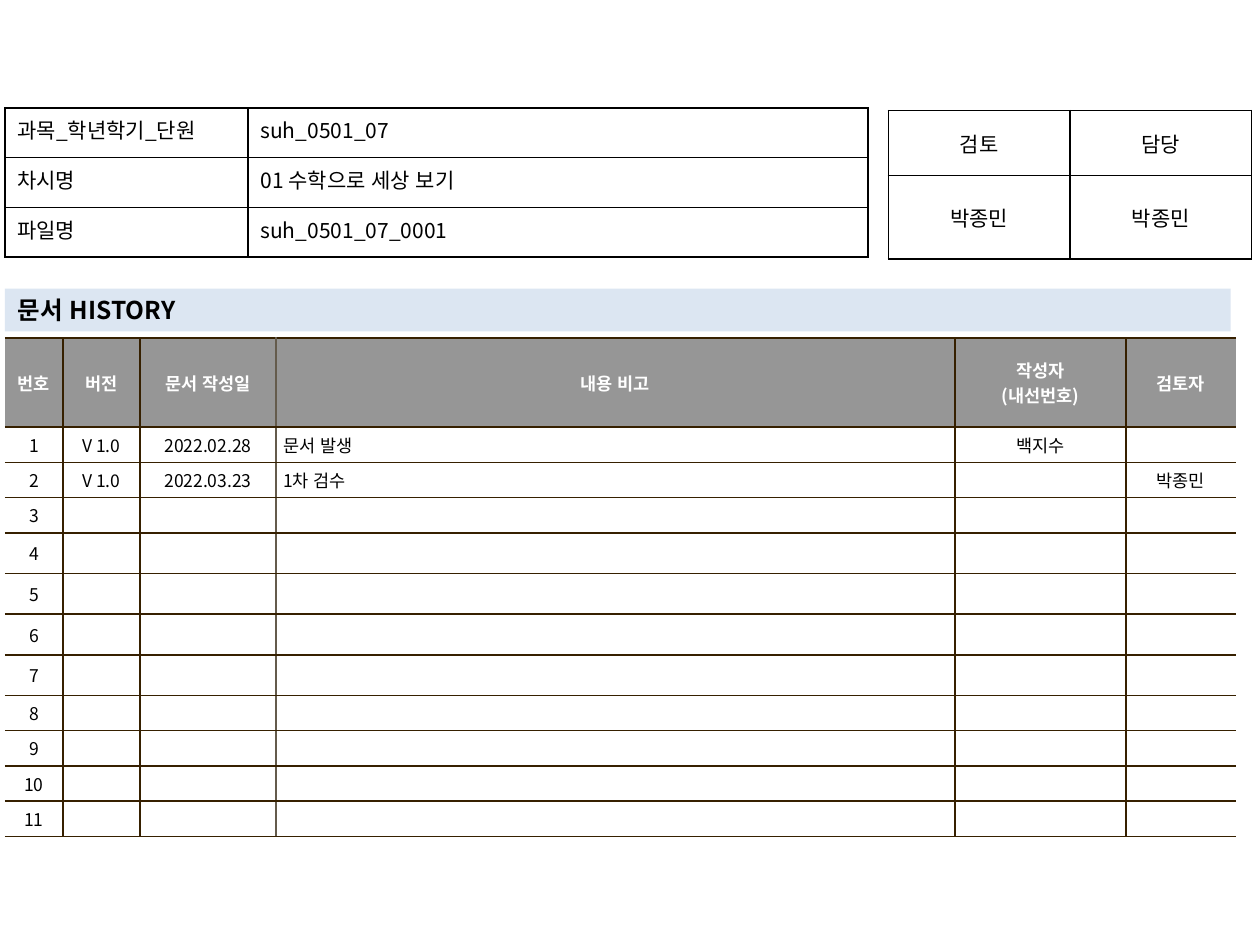
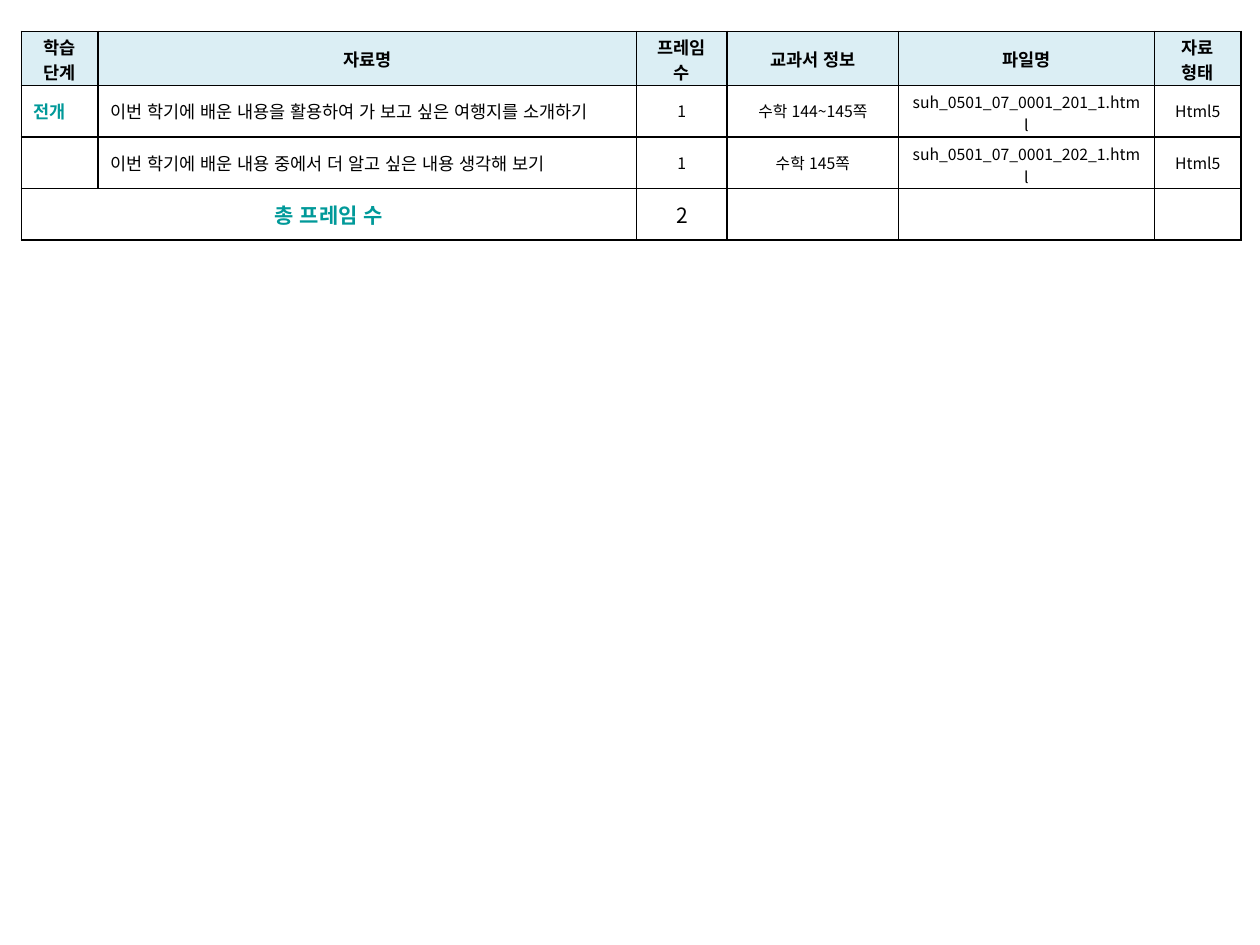
from typing import NamedTuple

import lxml.etree
import pptx
import pptx.dml.color
import pptx.enum.lang
import pptx.enum.text
import pptx.oxml.ns
import pptx.util

Cm = pptx.util.Cm
Pt = pptx.util.Pt
Align = pptx.enum.text.PP_ALIGN
Anchor = pptx.enum.text.MSO_ANCHOR
qn = pptx.oxml.ns.qn

FONT = "Noto Sans CJK KR"
HUES = {
    "black": "000000",
    "white": "FFFFFF",
    "gray": "969696",
    "brown": "362000",
    "taupe": "645B4C",
    "band": "DCE6F2",
    "head": "DBEEF4",
    "teal": "009999",
}


class Cell(NamedTuple):
    text: str = ""
    size: int = 10
    hue: str = "black"
    bold: bool = False
    align: Align = Align.CENTER
    fill: str = ""
    pad: tuple[float, float] = (0.13, 0.13)


class Grid(NamedTuple):
    left: float
    top: float
    cols: list[float]
    rows: list[float]
    cells: list[list[Cell]]
    line: str = "black"
    side: float = 0.25
    anchor: Anchor = Anchor.MIDDLE
    open: bool = False
    soft: int = -1


def tint(name: str) -> pptx.dml.color.RGBColor:
    return pptx.dml.color.RGBColor.from_string(HUES[name])


def write(frame, item: Cell) -> None:
    for index, text in enumerate(item.text.split("\n")):
        para = frame.add_paragraph() if index else frame.paragraphs[0]
        para.alignment = item.align
        if not text:
            lxml.etree.SubElement(para._p, qn("a:endParaRPr"), sz=str(item.size * 100))
            continue
        run = para.add_run()
        run.text = text
        font = run.font
        font.name = FONT
        font.size = Pt(item.size)
        font.bold = item.bold
        font.color.rgb = tint(item.hue)
        font.language_id = pptx.enum.lang.MSO_LANGUAGE_ID.KOREAN
        lxml.etree.SubElement(font._element, qn("a:ea"), typeface=FONT)


def edge(cell, hues: dict[str, str]) -> None:
    props = cell._tc.get_or_add_tcPr()
    for place, (side, name) in enumerate(hues.items()):
        line = lxml.etree.Element(qn("a:ln" + side), w=str(Pt(1)))
        if name:
            fill = lxml.etree.SubElement(line, qn("a:solidFill"))
            lxml.etree.SubElement(fill, qn("a:srgbClr"), val=HUES[name])
        else:
            lxml.etree.SubElement(line, qn("a:noFill"))
        props.insert(place, line)


def draw(slide, grid: Grid):
    count = len(grid.cols)
    table = slide.shapes.add_table(
        len(grid.rows), count, Cm(grid.left), Cm(grid.top),
        Cm(sum(grid.cols)), Cm(sum(grid.rows))).table
    table.first_row = table.horz_banding = False
    for column, width in zip(table.columns, grid.cols):
        column.width = Cm(width)
    for row, height in zip(table.rows, grid.rows):
        row.height = Cm(height)
    walls = [grid.line] * (count + 1)
    if grid.open:
        walls[0] = walls[-1] = ""
    if grid.soft >= 0:
        walls[grid.soft] = "taupe"
    for y, items in enumerate(grid.cells):
        for x, item in enumerate(items):
            cell = table.cell(y, x)
            cell.vertical_anchor = grid.anchor
            cell.margin_left = cell.margin_right = Cm(grid.side)
            cell.margin_top, cell.margin_bottom = map(Cm, item.pad)
            if item.fill:
                cell.fill.solid()
                cell.fill.fore_color.rgb = tint(item.fill)
            else:
                cell.fill.background()
            edge(cell, {"L": walls[x], "R": walls[x + 1], "T": grid.line, "B": grid.line})
            write(cell.text_frame, item)
    return table


def band(slide, text: str) -> None:
    title = slide.shapes.title
    title.left, title.top, title.width, title.height = map(Cm, (0.1, 5.82, 24.71, 0.86))
    title.fill.solid()
    title.fill.fore_color.rgb = tint("band")
    frame = title.text_frame
    frame.word_wrap = True
    frame.auto_size = pptx.enum.text.MSO_AUTO_SIZE.NONE
    frame.vertical_anchor = Anchor.MIDDLE
    write(frame, Cell(text, 14, bold=True, align=Align.LEFT))


def log_rows() -> list[list[Cell]]:
    heads = ["번호", "버전", "문서 작성일", "내용 비고", "작성자\n(내선번호)", "검토자"]
    notes = [
        ["V 1.0", "2022.02.28", "문서 발생", "백지수", ""],
        ["V 1.0", "2022.03.23", "1차 검수", "", "박종민"],
    ] + [[""] * 5] * 9
    pad = (0.1, 0.1)
    rows = [[Cell(text, hue="white", bold=True, fill="gray", pad=pad) for text in heads]]
    for number, note in enumerate(notes, 1):
        rows.append([
            Cell(text, fill="white", pad=pad, align=Align.LEFT if x == 3 else Align.CENTER)
            for x, text in enumerate([str(number)] + note)])
    return rows


def first(deck) -> None:
    slide = deck.slides.add_slide(deck.slide_layouts[5])
    band(slide, "문서 HISTORY")
    draw(slide, Grid(0.1, 6.81, [1.17, 1.55, 2.74, 13.69, 3.45, 2.21],
                     [1.8] + [0.71] * 3 + [0.82] * 4 + [0.71] * 4,
                     log_rows(), line="brown", side=0.15, open=True, soft=3))
    signs = [["검토", "담당"], ["박종민", "박종민"]]
    draw(slide, Grid(17.91, 2.23, [3.66] * 2, [1.31, 1.68],
                     [[Cell(text, 12) for text in row] for row in signs]))
    facts = [
        ["과목_학년학기_단원", "suh_0501_07"],
        ["차시명", "01 수학으로 세상 보기"],
        ["파일명", "suh_0501_07_0001"],
    ]
    draw(slide, Grid(0.1, 2.18, [4.9, 12.5], [1] * 3,
                     [[Cell(text, 12, align=Align.LEFT) for text in row] for row in facts],
                     anchor=Anchor.TOP))


def frames() -> list[list[Cell]]:
    heads = ["학습 단계", "자료명", "프레임 수", "교과서 정보", "파일명", "자료\n형태"]
    works = [
        ("전개", "이번 학기에 배운 내용을 활용하여 가 보고 싶은 여행지를 소개하기", "144~145", "201"),
        ("", "이번 학기에 배운 내용 중에서 더 알고 싶은 내용 생각해 보기", "145", "202"),
    ]
    rows = [[Cell(text, bold=True, fill="head", pad=(0.04, 0)) for text in heads]]
    for step, name, pages, code in works:
        rows.append([
            Cell(step, hue="teal", bold=True, align=Align.LEFT),
            Cell(name, align=Align.LEFT),
            Cell("1", 9),
            Cell(f"수학 {pages}쪽", 9),
            Cell(f"suh_0501_07_0001_{code}_1.html", 9, pad=(0.1, 0)),
            Cell("Html5", 9),
        ])
    total = Cell("총 프레임 수", 12, "teal", True)
    rows.append([total, Cell(), Cell("2", 12)] + [Cell()] * 3)
    return rows


def second(deck) -> None:
    slide = deck.slides.add_slide(deck.slide_layouts[6])
    table = draw(slide, Grid(0.43, 0.63, [1.55, 10.85, 1.83, 3.45, 5.16, 1.75],
                             [1.09] + [1.04] * 3, frames()))
    table.cell(3, 0).merge(table.cell(3, 1))


def main() -> None:
    deck = pptx.Presentation()
    deck.slide_width, deck.slide_height = Cm(25.4), Cm(19.05)
    first(deck)
    second(deck)
    deck.save("out.pptx")


if __name__ == "__main__":
    main()
